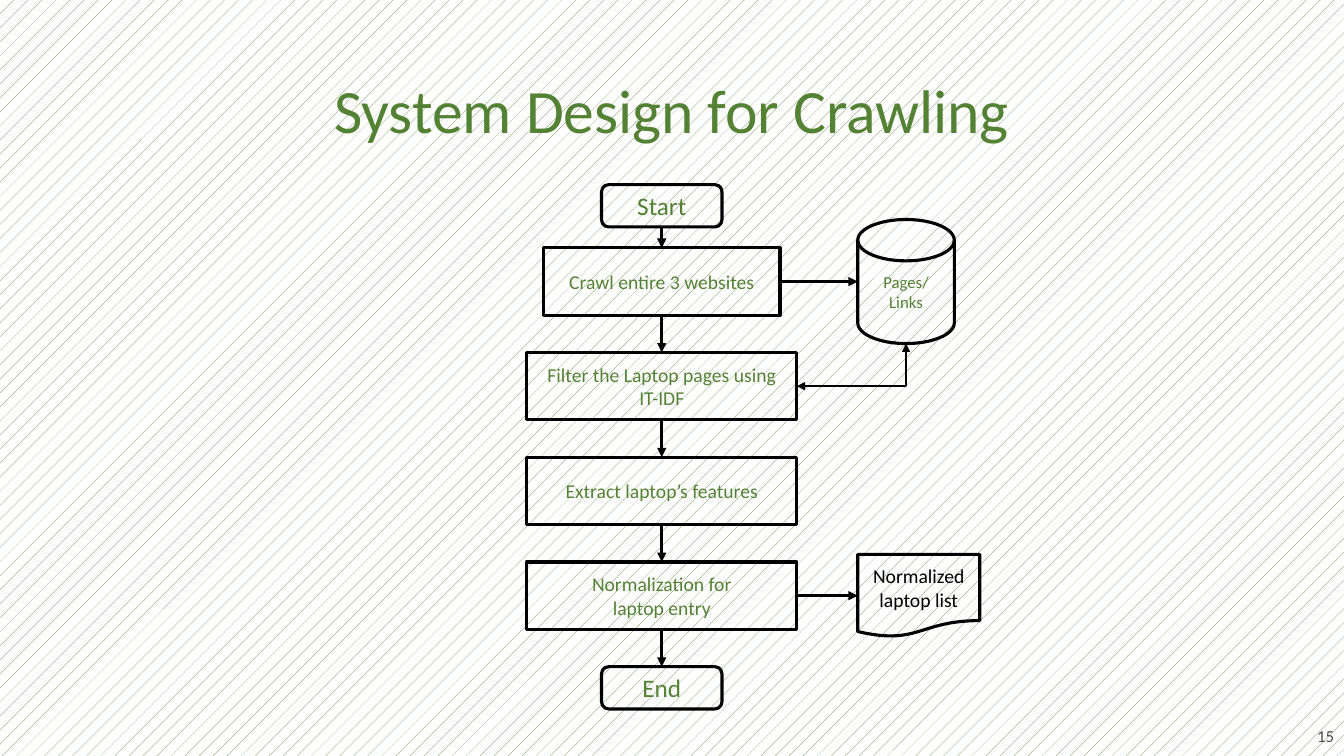
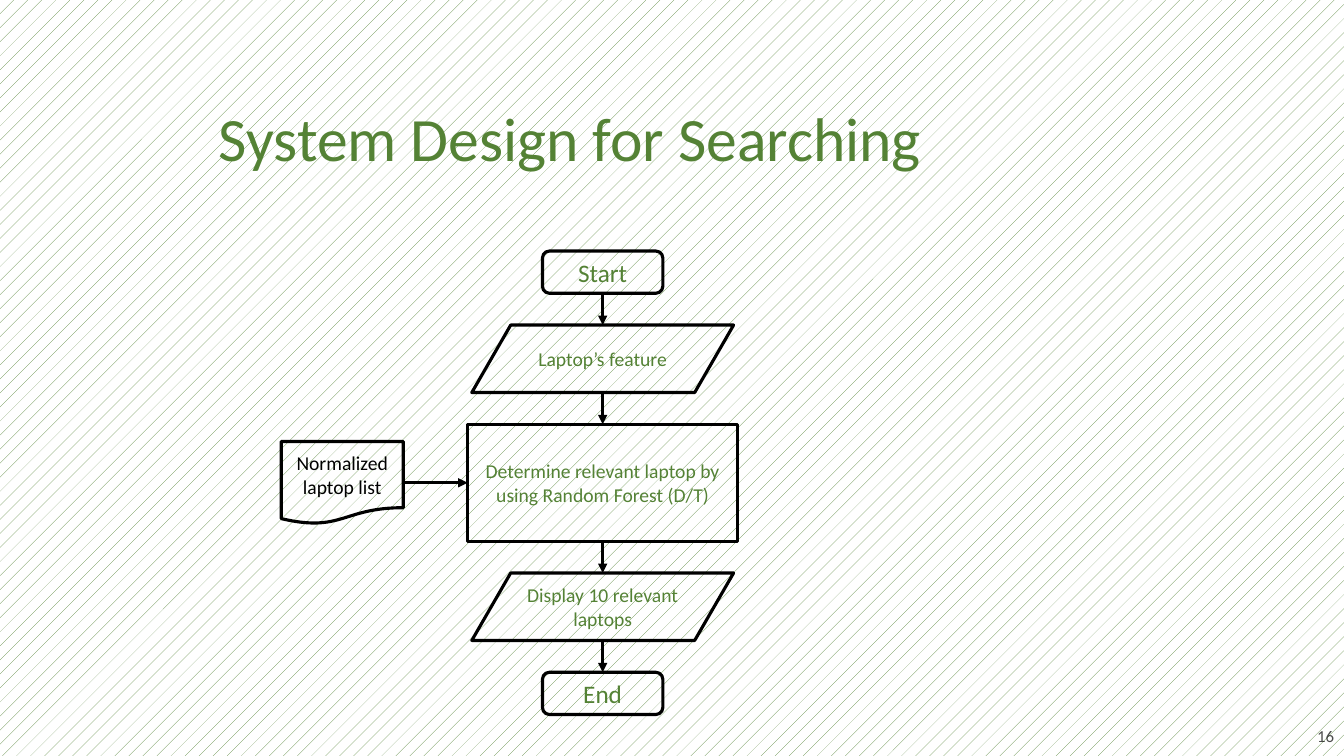
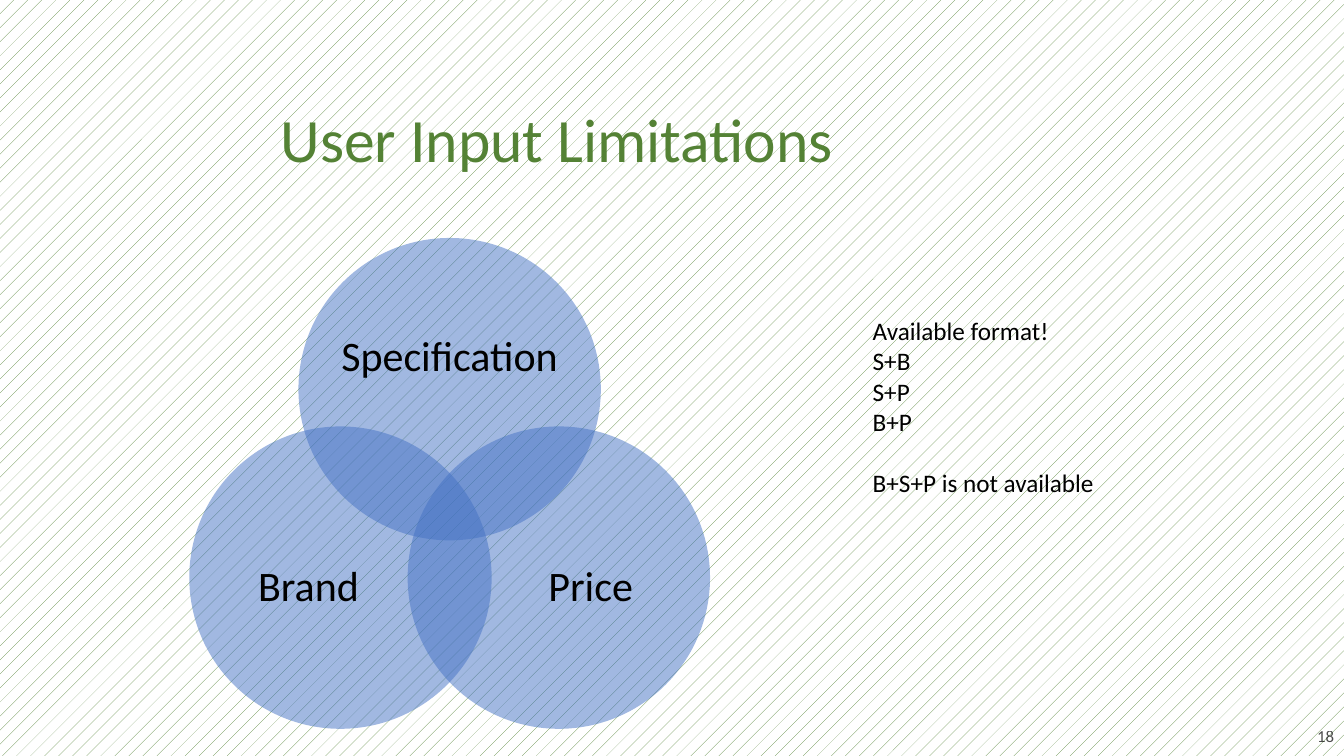
"""Builds three slides on laptop crawling, searching and user input limits."""
from dataclasses import dataclass
from itertools import pairwise

from lxml.etree import SubElement
from pptx import Presentation
from pptx.dml.color import RGBColor
from pptx.enum.dml import MSO_PATTERN
from pptx.enum.shapes import MSO_CONNECTOR, MSO_SHAPE
from pptx.enum.text import MSO_ANCHOR, MSO_AUTO_SIZE, PP_ALIGN
from pptx.oxml.ns import qn
from pptx.util import Pt


@dataclass(frozen=True)
class Theme:
    green: RGBColor = RGBColor.from_string("548235")
    black: RGBColor = RGBColor.from_string("000000")
    white: RGBColor = RGBColor.from_string("FFFFFF")
    blue: RGBColor = RGBColor.from_string("4472C4")
    font: str = "Calibri"
    title: int = 44
    label: int = 30
    body: int = 18
    step: int = 14
    small: int = 12
    outline: float = 2.25
    thin: float = 1.5


THEME = Theme()
TOP, LEFT, BOTTOM, RIGHT = range(4)
SIDES = {TOP: (0.5, 0), LEFT: (0, 0.5), BOTTOM: (0.5, 1), RIGHT: (1, 0.5)}

TERMINAL = (MSO_SHAPE.FLOWCHART_ALTERNATE_PROCESS, 86, 30.2, THEME.body)
PROCESS = (MSO_SHAPE.RECTANGLE, 193, 48.2, THEME.step)
SHORT_PROCESS = (MSO_SHAPE.RECTANGLE, 169, 48.2, THEME.step)
TALL_PROCESS = (MSO_SHAPE.RECTANGLE, 193, 83.5, THEME.step)
DATA = (MSO_SHAPE.PARALLELOGRAM, 187, 48.2, THEME.step)
STORE = (MSO_SHAPE.FLOWCHART_MAGNETIC_DISK, 69, 88.6, THEME.small)
DOCUMENT = (MSO_SHAPE.FLOWCHART_DOCUMENT, 87.2, 59, THEME.step)
JOINABLE = {MSO_SHAPE.RECTANGLE, MSO_SHAPE.FLOWCHART_ALTERNATE_PROCESS}


def apply(target, values):
    for name, value in values.items():
        setattr(target, name, value)


def write(frame, text, size, color, align=PP_ALIGN.CENTER, spacing=1.0, **layout):
    frame.text = text
    apply(frame, {"word_wrap": True, "vertical_anchor": MSO_ANCHOR.MIDDLE} | layout)
    for paragraph in frame.paragraphs:
        apply(paragraph, {"alignment": align, "line_spacing": spacing})
        for run in paragraph.runs:
            apply(run.font, {"name": THEME.font, "size": Pt(size)})
            run.font.color.rgb = color


def fade(shape, percent):
    for color in shape.element.iter(qn("a:srgbClr")):
        SubElement(color, qn("a:alpha"), val=str(percent * 1000))


def add_text(slide, box, text, size, **style):
    words = slide.shapes.add_textbox(*map(Pt, box))
    write(words.text_frame, text, size, THEME.black, **style)
    return words


def add_slide(deck, title, box, number):
    slide = deck.slides.add_slide(deck.slide_layouts[5])
    heading = slide.shapes.title
    apply(heading, dict(zip(("left", "top", "width", "height"), map(Pt, box))))
    write(heading.text_frame, title, THEME.title, THEME.green, spacing=0.9,
          auto_size=MSO_AUTO_SIZE.NONE)
    page = add_text(slide, (744, 511.2, 216, 28.8), number, THEME.small,
                    align=PP_ALIGN.RIGHT)
    fade(page, 70)
    return slide


def add_node(slide, kind, center, middle, text, color=THEME.green):
    preset, width, height, size = kind
    node = slide.shapes.add_shape(
        preset, Pt(center - width / 2), Pt(middle - height / 2), Pt(width), Pt(height))
    node.shadow.inherit = False
    node.fill.background()
    node.line.color.rgb = THEME.black
    node.line.width = Pt(THEME.outline)
    if preset == MSO_SHAPE.PARALLELOGRAM:
        node.adjustments[0] = 0.577
    write(node.text_frame, text, size, color)
    return node


def side_point(node, side):
    across, down = SIDES[side]
    return int(node.left + node.width * across), int(node.top + node.height * down)


def add_link(slide, source, source_side, target, target_side, kind=MSO_CONNECTOR.STRAIGHT,
             width=THEME.outline, ends=("tailEnd",)):
    link = slide.shapes.add_connector(
        kind, *side_point(source, source_side), *side_point(target, target_side))
    link.line.color.rgb = THEME.black
    link.line.width = Pt(width)
    properties = link.element.spPr
    for end in ends:
        SubElement(properties.find(qn("a:ln")), qn(f"a:{end}"), type="triangle")
    SubElement(properties, qn("a:effectLst"))
    if kind == MSO_CONNECTOR.STRAIGHT:
        if source.auto_shape_type in JOINABLE:
            link.begin_connect(source, source_side)
        if target.auto_shape_type in JOINABLE:
            link.end_connect(target, target_side)
    return link


def add_flow(slide, center, top, gap, steps):
    nodes = []
    for kind, text in steps:
        height = kind[2]
        nodes.append(add_node(slide, kind, center, top + height / 2, text))
        top += height + gap
    for upper, lower in pairwise(nodes):
        add_link(slide, upper, BOTTOM, lower, TOP)
    return nodes


def add_laptop_list(slide, center, middle):
    return add_node(slide, DOCUMENT, center, middle, "Normalized laptop list", THEME.black)


def build_crawling(deck):
    slide = add_slide(deck, "System Design for Crawling", (66, 29, 828, 104), "15")
    axis = 472.7
    start = add_node(slide, TERMINAL, axis, 147, "Start")
    crawl, select, _, normalize, _ = add_flow(slide, axis, 177, 26.6, [
        (SHORT_PROCESS, "Crawl entire 3 websites"),
        (PROCESS, "Filter the Laptop pages using IT-IDF"),
        (PROCESS, "Extract laptop’s features"),
        (PROCESS, "Normalization for\nlaptop entry"),
        (TERMINAL, "End"),
    ])
    add_link(slide, start, BOTTOM, crawl, TOP)
    pages = add_node(slide, STORE, 647.2, 201.1, "Pages/\nLinks")
    add_link(slide, crawl, RIGHT, pages, LEFT)
    corner = add_link(slide, select, RIGHT, pages, BOTTOM, MSO_CONNECTOR.ELBOW,
                      THEME.thin, ("headEnd", "tailEnd"))
    corner.element.spPr.find(qn("a:prstGeom")).set("prst", "bentConnector2")
    laptops = add_laptop_list(slide, 656.3, 425.5)
    add_link(slide, normalize, RIGHT, laptops, LEFT)


def build_searching(deck):
    slide = add_slide(deck, "System Design for Searching", (21, 58.3, 773, 85), "16")
    _, _, determine, _, _ = add_flow(slide, 430.5, 179.3, 22.7, [
        (TERMINAL, "Start"),
        (DATA, "Laptop’s feature"),
        (TALL_PROCESS, "Determine relevant laptop by using Random Forest (D/T)"),
        (DATA, "Display 10 relevant laptops"),
        (TERMINAL, "End"),
    ])
    laptops = add_laptop_list(slide, 244.5, 344.85)
    add_link(slide, laptops, RIGHT, determine, LEFT)


def add_circle(slide, center, middle, diameter=216):
    circle = slide.shapes.add_shape(
        MSO_SHAPE.OVAL, Pt(center - diameter / 2), Pt(middle - diameter / 2),
        Pt(diameter), Pt(diameter))
    circle.shadow.inherit = False
    circle.fill.solid()
    circle.fill.fore_color.rgb = THEME.blue
    circle.line.fill.background()
    fade(circle, 50)


def build_limitations(deck):
    slide = add_slide(deck, "User Input Limitations", (8, 59, 780, 85), "18")
    axis, label_width, label_height = 321.2, 160, 100
    no_margins = dict.fromkeys(
        ("margin_left", "margin_top", "margin_right", "margin_bottom"), 0)
    for text, direction, middle, label_middle in (
            ("Specification", 0, 278, 256), ("Price", 1, 412.6, 420),
            ("Brand", -1, 412.6, 420)):
        add_circle(slide, axis + direction * 78, middle)
        box = (axis + direction * 100.8 - label_width / 2,
               label_middle - label_height / 2, label_width, label_height)
        add_text(slide, box, text, THEME.label, spacing=0.9, **no_margins)
    formats = add_text(
        slide, (616.3, 221.8, 191.5, 138.2),
        "Available format!\nS+B\nS+P\nB+P\nB+S+P is not available", THEME.body,
        align=PP_ALIGN.LEFT, word_wrap=False, vertical_anchor=MSO_ANCHOR.TOP)
    formats.text_frame.paragraphs[-1].space_before = Pt(22)


def main():
    deck = Presentation()
    apply(deck, {"slide_width": Pt(960), "slide_height": Pt(540)})
    backdrop = deck.slide_master.background.fill
    backdrop.patterned()
    backdrop.pattern = MSO_PATTERN.PERCENT_5
    backdrop.fore_color.rgb = THEME.green
    backdrop.back_color.rgb = THEME.white
    for build in (build_crawling, build_searching, build_limitations):
        build(deck)
    deck.save("out.pptx")


if __name__ == "__main__":
    main()
